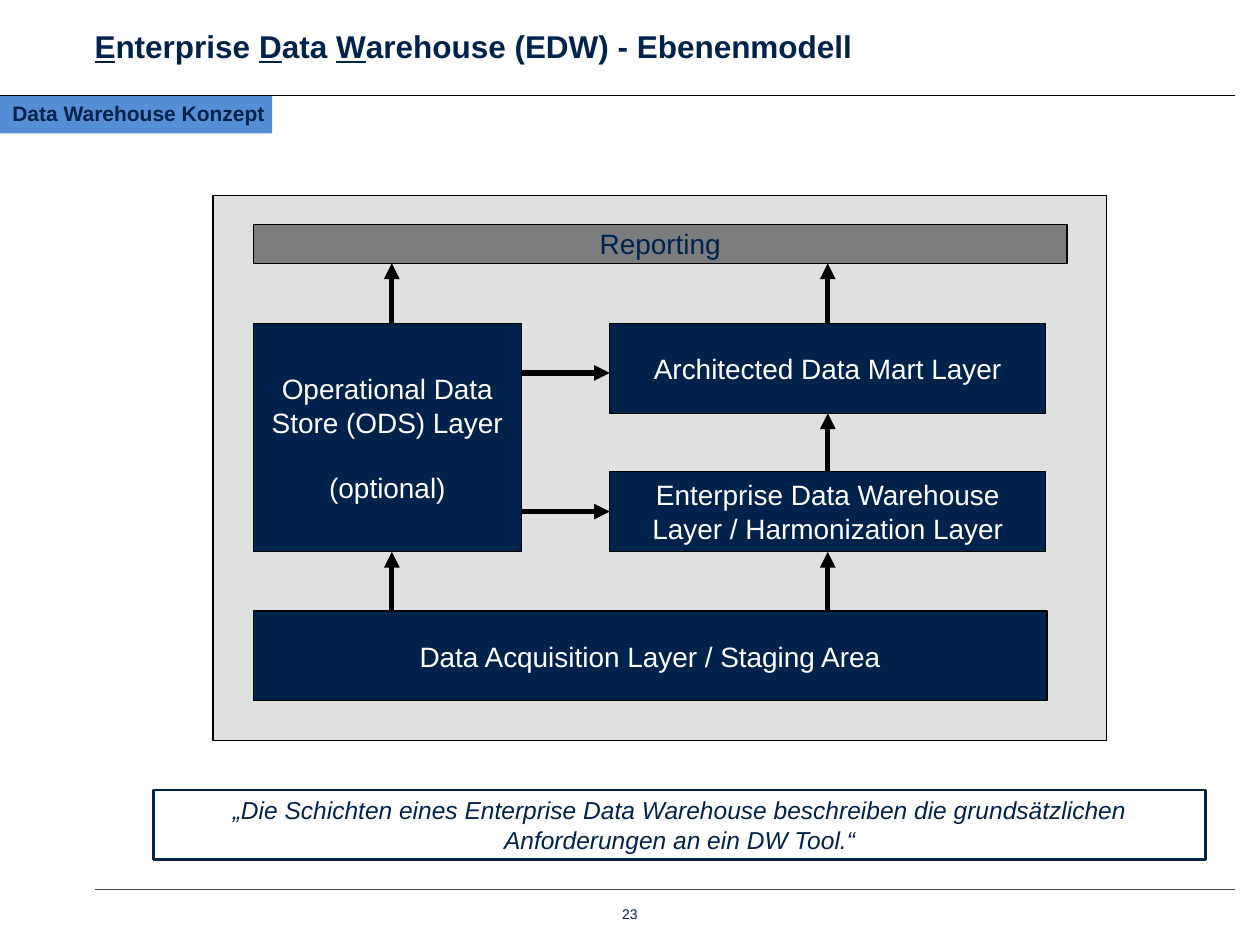
from lxml.etree import SubElement
from pptx import Presentation
from pptx.dml.color import RGBColor
from pptx.enum.shapes import MSO_CONNECTOR, MSO_SHAPE
from pptx.enum.text import MSO_ANCHOR, PP_ALIGN
from pptx.oxml.ns import qn
from pptx.util import Inches, Pt

NAVY = RGBColor(0x00, 0x22, 0x4B)
BLUE = RGBColor(0x55, 0x8E, 0xD5)
LIGHT_GRAY = RGBColor(0xC0, 0xC2, 0xC3)
MID_GRAY = RGBColor(0x7B, 0x7C, 0x7E)
DARK_GRAY = RGBColor(0x4D, 0x4D, 0x4D)
BLACK = RGBColor(0, 0, 0)
WHITE = RGBColor(0xFF, 0xFF, 0xFF)

ODS_LANE, MART_LANE = 3.11, 6.57
REPORTING_BOTTOM, UPPER_TOP, UPPER_BOTTOM, STAGING_TOP = 2.09, 2.57, 4.38, 4.85
ODS_RIGHT, WAREHOUSE_LEFT = 4.14, 4.84


def write_text(shape, *paragraphs, size=16, color=WHITE, bold=False, italic=False,
               align=PP_ALIGN.CENTER, wrap=True, gap=0, line_spacing=None):
    """Fill a shape with paragraphs, each a string or a list of (text, underline)."""
    frame = shape.text_frame
    frame.word_wrap = wrap
    frame.vertical_anchor = MSO_ANCHOR.MIDDLE
    for index, content in enumerate(paragraphs):
        paragraph = frame.add_paragraph() if index else frame.paragraphs[0]
        paragraph.alignment = align
        paragraph.space_before = Pt(gap if index else 0)
        if line_spacing:
            paragraph.line_spacing = line_spacing
        runs = [(content, False)] if isinstance(content, str) else content
        for text, underline in runs:
            run = paragraph.add_run()
            run.text = text
            font = run.font
            font.name, font.size, font.color.rgb = "Arial", Pt(size), color
            font.bold, font.italic, font.underline = bold, italic, underline


def add_box(slide, left, top, width, height, fill=NAVY, line=BLACK, weight=0.75):
    """Add a rectangle; None leaves out its fill or its line."""
    shape = slide.shapes.add_shape(MSO_SHAPE.RECTANGLE, Inches(left), Inches(top),
                                   Inches(width), Inches(height))
    shape.shadow.inherit = False
    if fill is None:
        shape.fill.background()
    else:
        shape.fill.solid()
        shape.fill.fore_color.rgb = fill
    if line is None:
        shape.line.fill.background()
    else:
        shape.line.color.rgb = line
        shape.line.width = Pt(weight)
    return shape


def set_opacity(shape, percent):
    """Make the solid fill of a shape partly transparent."""
    color = shape.fill._xPr.find(qn("a:solidFill"))[0]
    SubElement(color, qn("a:alpha"), val=str(percent * 1000))


def add_line(slide, start, end, color=BLACK, weight=0.75):
    """Add a straight line without a shadow."""
    connector = slide.shapes.add_connector(
        MSO_CONNECTOR.STRAIGHT, *(Inches(value) for value in (*start, *end)))
    connector.line.color.rgb = color
    connector.line.width = Pt(weight)
    SubElement(connector._element.spPr, qn("a:effectLst"))
    return connector


def add_arrow(slide, start, end, source=None, target=None):
    """Add an arrow, joined to (shape, side) where one is given."""
    connector = add_line(slide, start, end, weight=3)
    SubElement(connector.line._get_or_add_ln(), qn("a:tailEnd"), type="triangle")
    if source:
        connector.begin_connect(*source)
    if target:
        connector.end_connect(*target)


def add_title(slide):
    """Place and write the title with its underlined initials."""
    title = slide.shapes.title
    title.left, title.top = Inches(0.65), Inches(0.05)
    title.width, title.height = Inches(7.82), Inches(0.63)
    write_text(title, [("E", True), ("nterprise ", False), ("D", True), ("ata ", False),
                       ("W", True), ("arehouse (EDW) - Ebenenmodell", False)],
               size=18, color=NAVY, bold=True, align=PP_ALIGN.LEFT)


def add_page_frame(slide):
    """Add the section label, the rules and the page number."""
    label = add_box(slide, 0, 0.76, 2.16, 0.3, fill=BLUE, line=None)
    write_text(label, "Data Warehouse Konzept", size=12, color=NAVY, bold=True,
               align=PP_ALIGN.LEFT, wrap=False, line_spacing=0.9)
    add_line(slide, (0, 0.76), (9.8, 0.76))
    add_line(slide, (0.75, 7.06), (9.8, 7.06), color=DARK_GRAY)
    number = slide.shapes.add_textbox(Inches(4.53), Inches(7.14), Inches(0.94), Inches(0.23))
    write_text(number, "23", size=8, color=NAVY)


def add_layer_model(slide):
    """Add the layers on their panel and the arrows between them."""
    set_opacity(add_box(slide, 1.69, 1.55, 7.09, 4.33, fill=LIGHT_GRAY), 50)
    ods = add_box(slide, 2.01, UPPER_TOP, 2.13, 1.81)
    staging = add_box(slide, 2.01, STAGING_TOP, 6.3, 0.71)
    warehouse = add_box(slide, WAREHOUSE_LEFT, 3.74, 3.46, 0.64)
    mart = add_box(slide, WAREHOUSE_LEFT, UPPER_TOP, 3.46, 0.71)
    reporting = add_box(slide, 2.01, 1.78, 6.46, 0.31, fill=MID_GRAY)

    write_text(ods, "Operational Data Store (ODS) Layer", "(optional)", gap=18)
    write_text(staging, "Data Acquisition Layer / Staging Area")
    write_text(warehouse, "Enterprise Data Warehouse Layer / Harmonization Layer")
    write_text(mart, "Architected Data Mart Layer")
    write_text(reporting, "Reporting", color=NAVY, wrap=False)

    for lane, lower_target, upper_source in ((ODS_LANE, None, None),
                                             (MART_LANE, (warehouse, 2), (mart, 0))):
        add_arrow(slide, (lane, STAGING_TOP), (lane, UPPER_BOTTOM), target=lower_target)
        add_arrow(slide, (lane, UPPER_TOP), (lane, REPORTING_BOTTOM), source=upper_source)
    add_arrow(slide, (MART_LANE, 3.74), (MART_LANE, 3.28), (warehouse, 0), (mart, 2))
    for height, target in ((2.96, None), (4.06, (warehouse, 1))):
        add_arrow(slide, (ODS_RIGHT, height), (WAREHOUSE_LEFT, height), target=target)


def add_quote(slide):
    """Add the framed statement below the model."""
    quote = add_box(slide, 1.22, 6.27, 8.35, 0.55, fill=None, line=NAVY, weight=1.5)
    write_text(quote, "„Die Schichten eines Enterprise Data Warehouse beschreiben die "
               "grundsätzlichen Anforderungen an ein DW Tool.“",
               size=14, color=NAVY, italic=True)


def main():
    """Build the slide and save it."""
    presentation = Presentation()
    presentation.slide_width, presentation.slide_height = Inches(10), Inches(7.5)
    slide = presentation.slides.add_slide(presentation.slide_layouts[5])
    add_title(slide)
    add_page_frame(slide)
    add_layer_model(slide)
    add_quote(slide)
    presentation.save("out.pptx")


if __name__ == "__main__":
    main()
